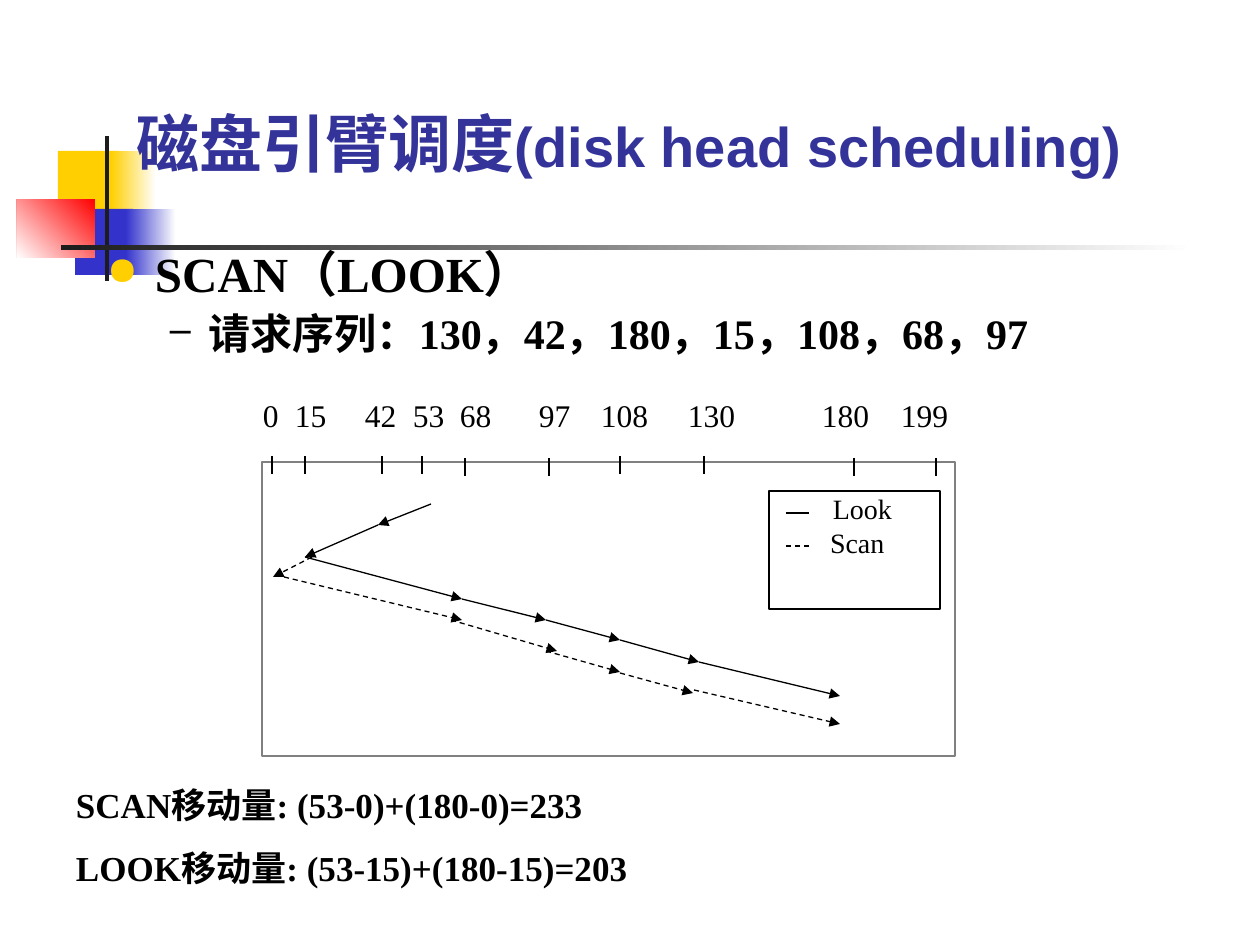
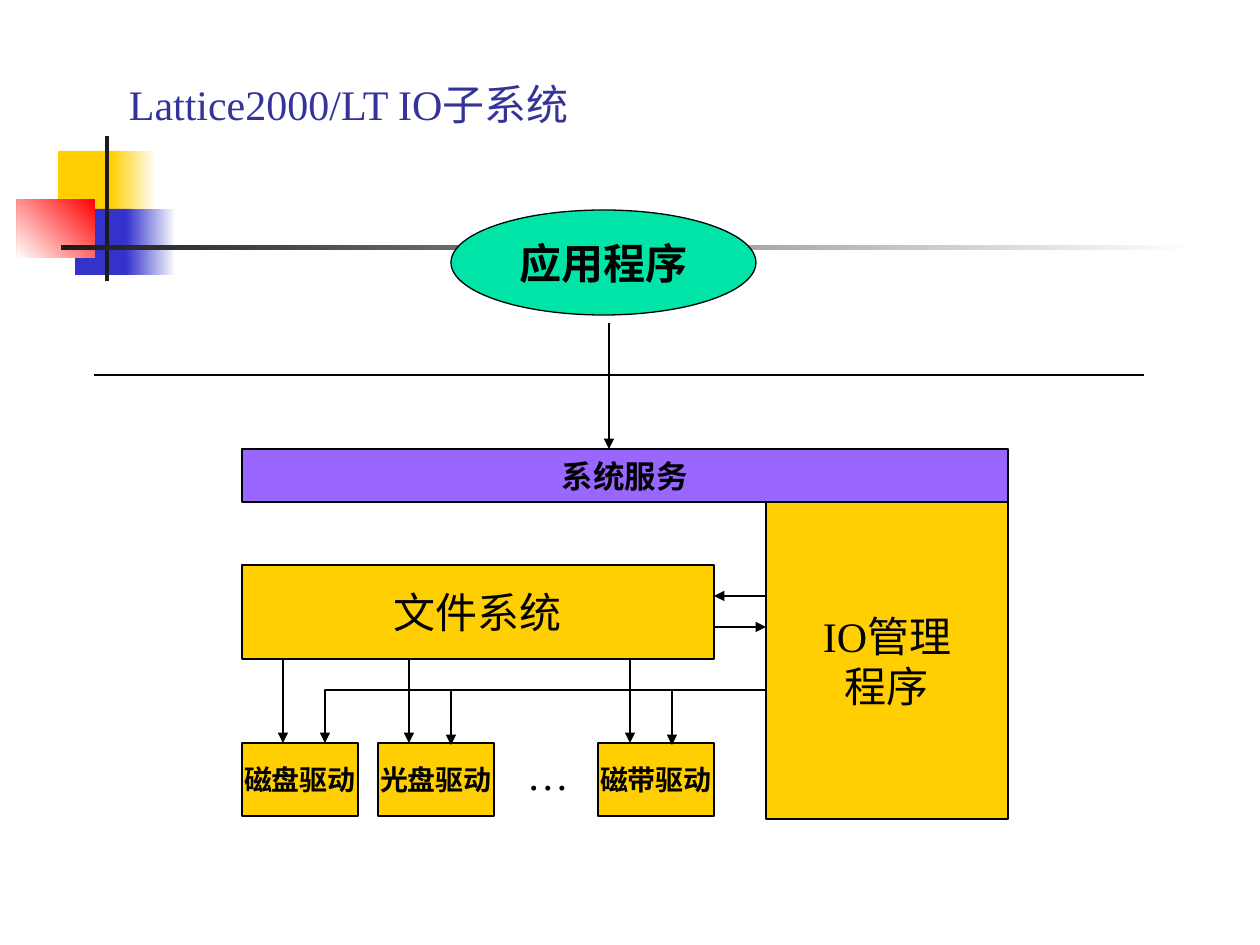
from itertools import pairwise

from lxml.etree import SubElement
from pptx import Presentation
from pptx.dml.color import RGBColor
from pptx.enum.dml import MSO_LINE
from pptx.enum.shapes import MSO_CONNECTOR, MSO_SHAPE
from pptx.enum.text import MSO_ANCHOR, PP_ALIGN
from pptx.oxml.ns import qn
from pptx.util import Pt

SCALE = 914400 / 126
SERIF, SANS = "Times New Roman", "Arial"
BLACK, WHITE, DARK, GRAY = "000000", "FFFFFF", "1C1C1C", "808080"
YELLOW, BLUE, RED, NAVY = "FFCF01", "3333CC", "FF0000", "333399"
GREEN, PURPLE = "00E4A8", "9966FF"
BOX, OVAL = MSO_SHAPE.RECTANGLE, MSO_SHAPE.OVAL
INSETS = (13, 6, 13, 6)
DECORATIONS = [
    ((58, 151, 61, 66), YELLOW, None),
    ((111, 151, 45, 66), YELLOW, 0),
    ((75, 209, 58, 66), BLUE, None),
    ((126, 209, 50, 66), BLUE, 0),
    ((17, 199, 78, 59), RED, 225),
    ((105, 136, 4, 145), DARK, None),
    ((61, 245, 1134, 5), DARK, 0),
]


def px(value):
    return round(value * SCALE)


def color(value):
    return RGBColor.from_string(value)


def set_all(target, **values):
    for name, value in values.items():
        setattr(target, name, value)


def add_run(paragraph, text, size, font=SERIF, bold=False, fill=BLACK):
    run = paragraph.add_run()
    run.text = text
    set_all(run.font, name=font, size=Pt(size), bold=bold)
    run.font.color.rgb = color(fill)


def set_frame(shape, insets=INSETS, anchor=MSO_ANCHOR.TOP, wrap=True):
    left, top, right, bottom = map(px, insets)
    frame = shape.text_frame
    set_all(frame, margin_left=left, margin_top=top, margin_right=right,
            margin_bottom=bottom, vertical_anchor=anchor, word_wrap=wrap)
    return frame


def write(frame, lines, paragraph_format, **run_format):
    for index, line in enumerate(lines):
        paragraph = frame.add_paragraph() if index else frame.paragraphs[0]
        set_all(paragraph, **paragraph_format)
        add_run(paragraph, line, **run_format)
    return frame.paragraphs


def set_indent(paragraph, left, hanging=0):
    properties = paragraph._p.get_or_add_pPr()
    properties.set("marL", str(px(left)))
    properties.set("indent", str(px(-hanging)))
    return properties


def set_bullet(paragraph, symbol, fill, percent, left, hanging):
    properties = set_indent(paragraph, left, hanging)
    bullet_color = SubElement(properties, qn("a:buClr"))
    SubElement(bullet_color, qn("a:srgbClr"), val=fill)
    SubElement(properties, qn("a:buSzPct"), val=str(percent * 1000))
    SubElement(properties, qn("a:buChar"), char=symbol)


def set_tabs(paragraph, positions):
    tabs = SubElement(paragraph._p.get_or_add_pPr(), qn("a:tabLst"))
    for position in positions:
        SubElement(tabs, qn("a:tab"), pos=str(px(position)), algn="l")


def add_text(slide, area, **frame_format):
    return set_frame(slide.shapes.add_textbox(*map(px, area)), **frame_format)


def add_figure(slide, area, kind=BOX, fill=None, line=BLACK):
    shape = slide.shapes.add_shape(kind, *map(px, area))
    shape.shadow.inherit = False
    if fill:
        shape.fill.solid()
        shape.fill.fore_color.rgb = color(fill)
    else:
        shape.fill.background()
    if line:
        set_line(shape, line)
    else:
        shape.line.fill.background()
    return shape


def set_line(shape, fill=BLACK, dashed=False, arrow=False):
    shape.line.color.rgb = color(fill)
    shape.line.width = Pt(0.75)
    if dashed:
        shape.line.dash_style = MSO_LINE.DASH
    if arrow:
        outline = shape.element.spPr.find(qn("a:ln"))
        SubElement(outline, qn("a:tailEnd"), type="triangle")


def add_line(slide, start, end, **line_format):
    points = map(px, (*start, *end))
    connector = slide.shapes.add_connector(MSO_CONNECTOR.STRAIGHT, *points)
    set_line(connector, **line_format)
    SubElement(connector.element.spPr, qn("a:effectLst"))


def add_bent_arrow(slide, start, *points):
    builder = slide.shapes.build_freeform(*start, scale=SCALE)
    builder.add_line_segments(points, close=False)
    shape = builder.convert_to_shape()
    shape.shadow.inherit = False
    shape.fill.background()
    set_line(shape, arrow=True)


def add_block(slide, area, lines, size, fill=YELLOW, bold=False, kind=BOX):
    shape = add_figure(slide, area, kind, fill)
    frame = set_frame(shape, anchor=MSO_ANCHOR.MIDDLE, wrap=False)
    write(frame, lines, {"alignment": PP_ALIGN.CENTER}, size=size, bold=bold)


def add_decorated_slide(presentation):
    slide = presentation.slides.add_slide(presentation.slide_layouts[6])
    for area, fill, angle in DECORATIONS:
        shape = add_figure(slide, area, fill=fill, line=None)
        if angle is not None:
            shape.fill.gradient()
            shape.fill.gradient_angle = angle
            for stop, shade in zip(shape.fill.gradient_stops, (fill, WHITE)):
                stop.color.rgb = color(shade)
    return slide


def add_track_axis(slide):
    add_figure(slide, (262, 462, 693, 294), line=GRAY)
    tracks = [0, 15, 42, 53, 68, 97, 108, 130, 180, 199]
    frame = add_text(slide, (261, 396, 692, 67), insets=(2, 0, 2, 0))
    labels = write(frame, ["\t".join(map(str, tracks))], {}, size=18)
    set_tabs(labels[0], [32, 102, 150, 197, 276, 338, 425, 559, 638])
    tick_lefts = [272, 305, 382, 422, 465, 549, 620, 704, 854, 936]
    for track, left in zip(tracks, tick_lefts):
        top = 458 if track in (68, 97, 180, 199) else 456
        add_line(slide, (left, top), (left, top + 18))


def add_head_paths(slide):
    look = [(431, 504), (378, 525), (305, 557), (462, 599), (546, 620),
            (620, 640), (699, 662), (840, 696)]
    for start, end in pairwise(look):
        add_line(slide, start, end, arrow=True)
    scan = [((312, 557), (273, 577)), ((284, 577), (462, 620)),
            ((451, 620), (557, 651)), ((546, 651), (620, 672)),
            ((620, 673), (693, 693)), ((694, 690), (840, 724))]
    for start, end in scan:
        add_line(slide, start, end, dashed=True, arrow=True)


def add_legend(slide):
    shape = add_figure(slide, (769, 491, 171, 118))
    frame = set_frame(shape, insets=(13, 1, 13, 6))
    entries = write(frame, ["Look", "Scan"], {"alignment": PP_ALIGN.LEFT}, size=16)
    for entry, indent in zip(entries, (51, 48)):
        set_indent(entry, indent)
    add_line(slide, (786, 513), (809, 513))
    add_line(slide, (786, 546), (809, 546), dashed=True)


def build_scheduling_slide(presentation):
    slide = add_decorated_slide(presentation)
    frame = add_text(slide, (94, 63, 1071, 158), anchor=MSO_ANCHOR.MIDDLE)
    title = frame.paragraphs[0]
    title.alignment = PP_ALIGN.CENTER
    for text, size in (("磁盘引臂调度", 36), ("(disk head scheduling)", 32)):
        add_run(title, text, size, SANS, True, NAVY)

    body = add_text(slide, (94, 244, 1071, 112))
    heading, requests = body.paragraphs[0], body.add_paragraph()
    set_all(heading, line_spacing=0.9, space_before=Pt(7))
    set_all(requests, line_spacing=0.9, space_before=Pt(6), level=1)
    set_bullet(heading, "●", YELLOW, 80, 48, 48)
    set_bullet(requests, "–", BLACK, 90, 102, 39)
    add_run(heading, "SCAN（LOOK）", 28, bold=True)
    add_run(requests, "请求序列：130，42，180，15，108，68，97", 24, bold=True)

    totals = ["SCAN移动量: (53-0)+(180-0)=233", "LOOK移动量: (53-15)+(180-15)=203"]
    frame = add_text(slide, (63, 777, 1144, 118))
    write(frame, totals, {"space_before": Pt(12.5)}, size=20, bold=True)
    add_track_axis(slide)
    add_head_paths(slide)
    add_legend(slide)


def build_subsystem_slide(presentation):
    slide = add_decorated_slide(presentation)
    spaced = {"space_before": Pt(15)}
    title = add_text(slide, (116, 73, 567, 63))
    write(title, ["Lattice2000/LT IO子系统"], spaced, size=24, fill=NAVY)
    add_block(slide, (451, 210, 305, 105), ["应用程序"], 24, GREEN, True, OVAL)
    add_block(slide, (242, 449, 766, 53), ["系统服务"], 18, PURPLE, True)
    add_block(slide, (766, 502, 242, 317), ["IO管理", "程序"], 24)
    add_block(slide, (242, 565, 472, 94), ["文件系统"], 24)
    drivers = [("磁盘驱动", 242, 283), ("光盘驱动", 378, 409), ("磁带驱动", 598, 630)]
    for name, left, arrow_left in drivers:
        add_block(slide, (left, 743, 116, 73), [name], 16, bold=True)
        add_line(slide, (arrow_left, 659), (arrow_left, 743), arrow=True)
    for _, _, arrow_left in drivers[1:]:
        manager_left = arrow_left + 42
        add_line(slide, (manager_left, 690), (manager_left, 745), arrow=True)
    add_bent_arrow(slide, (766, 690), (325, 690), (325, 743))
    write(add_text(slide, (514, 743, 73, 63)), ["…"], spaced, size=24)
    add_line(slide, (94, 375), (1144, 375))
    add_line(slide, (609, 323), (609, 449), arrow=True)
    add_line(slide, (766, 596), (714, 596), arrow=True)
    add_line(slide, (714, 627), (766, 627), arrow=True)


def main():
    presentation = Presentation()
    set_all(presentation, slide_width=px(1260), slide_height=px(945))
    build_scheduling_slide(presentation)
    build_subsystem_slide(presentation)
    presentation.save("out.pptx")


if __name__ == "__main__":
    main()
